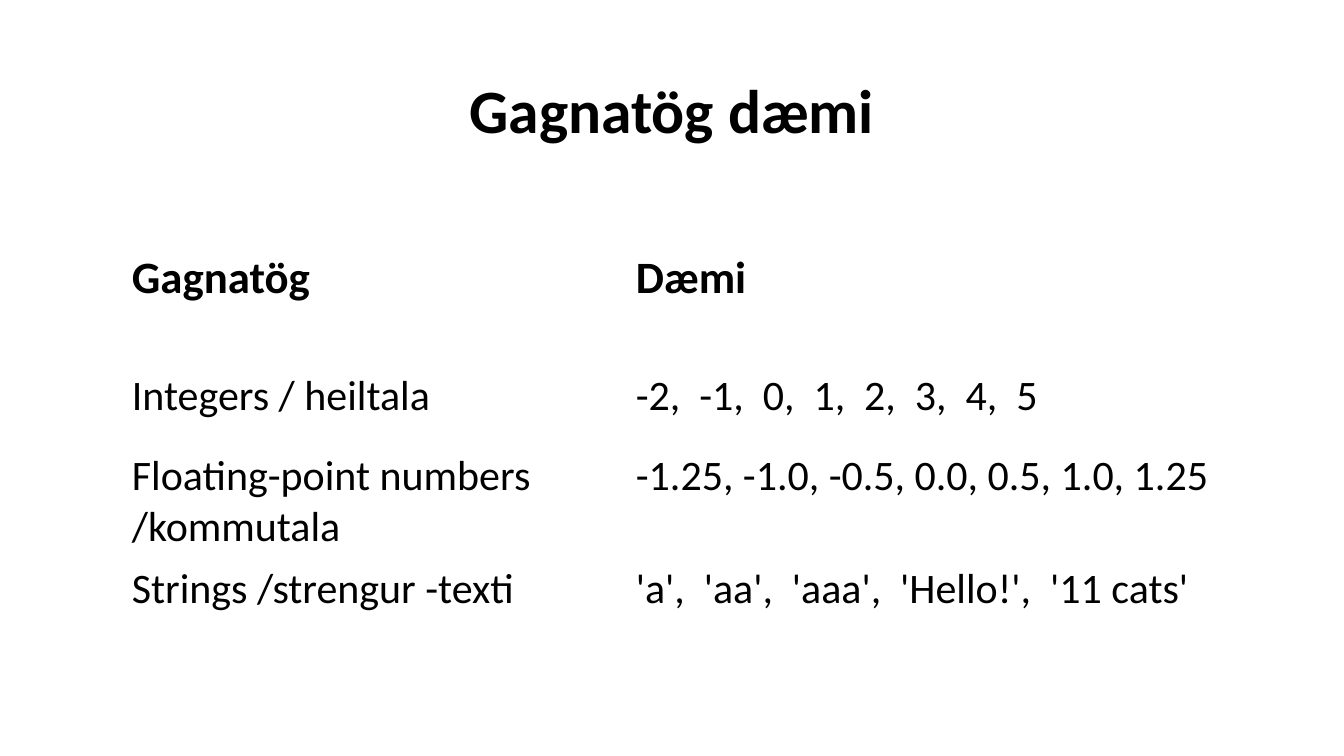
from dataclasses import dataclass
from typing import Any

from pptx import Presentation
from pptx.dml.color import RGBColor
from pptx.enum.text import MSO_ANCHOR, MSO_AUTO_SIZE, PP_ALIGN
from pptx.util import Cm, Length, Pt

MIDDLE = MSO_ANCHOR.MIDDLE
TOP = MSO_ANCHOR.TOP
NO_AUTOFIT = MSO_AUTO_SIZE.NONE
CENTER = PP_ALIGN.CENTER
LEFT = PP_ALIGN.LEFT
TITLE_ONLY = 5


@dataclass(frozen=True)
class Theme:
    font: str = "Calibri"
    ink: RGBColor = RGBColor(0x00, 0x00, 0x00)
    paper: RGBColor = RGBColor(0xFF, 0xFF, 0xFF)
    title: Length = Pt(44)
    heading: Length = Pt(32)
    body: Length = Pt(30)


@dataclass(frozen=True)
class TypeRow:
    kind: str
    examples: str
    height: Length
    is_heading: bool = False


THEME = Theme()
COLUMN_WIDTHS = (Cm(12.7), Cm(16.79))
TYPE_ROWS = (
    TypeRow("Gagnatög", "Dæmi", Cm(3), True),
    TypeRow("Integers / heiltala",
            ", \u00a0".join(str(number) for number in range(-2, 6)), Cm(2.03)),
    TypeRow("Floating-point numbers\n/kommutala",
            "-1.25,\u00a0-1.0, -0.5,\u00a00.0,\u00a00.5,\u00a01.0,\u00a01.25", Cm(2.84)),
    TypeRow("Strings /strengur -texti",
            ",\u00a0 ".join(("'a'", "'aa'", "'aaa'", "'Hello!'", "'11 cats'")), Cm(1.85)),
)


def apply(target: Any, values: dict[str, Any]) -> None:
    for name, value in values.items():
        setattr(target, name, value)


def write(frame: Any, words: str, size: Length, bold: bool,
          paragraph_format: dict[str, Any]) -> None:
    frame.text = words
    for paragraph in frame.paragraphs:
        apply(paragraph, paragraph_format)
        for run in paragraph.runs:
            apply(run.font, {"name": THEME.font, "size": size, "bold": bold})
            run.font.color.rgb = THEME.ink


def draw_heading(slide: Any, words: str) -> None:
    heading = slide.shapes.title
    apply(heading, {"left": Cm(2.33), "top": Cm(1.01),
                    "width": Cm(29.21), "height": Cm(3.68)})
    apply(heading.text_frame, {"word_wrap": True, "auto_size": NO_AUTOFIT,
                               "vertical_anchor": MIDDLE})
    write(heading.text_frame, words, THEME.title, True,
          {"alignment": CENTER, "line_spacing": 0.9})


def draw_types(slide: Any, rows: tuple[TypeRow, ...]) -> None:
    types = slide.shapes.add_table(
        len(rows), len(COLUMN_WIDTHS), Cm(3.07), Cm(6.2),
        sum(COLUMN_WIDTHS), sum(row.height for row in rows)).table
    apply(types, {"first_row": False, "horz_banding": False})
    for column, width in zip(types.columns, COLUMN_WIDTHS):
        column.width = width
    for line, row in zip(types.rows, rows):
        line.height = row.height
        size = THEME.heading if row.is_heading else THEME.body
        for cell, words in zip(line.cells, (row.kind, row.examples)):
            cell.fill.background()
            cell.vertical_anchor = TOP
            write(cell.text_frame, words, size, row.is_heading, {"alignment": LEFT})


deck = Presentation()
apply(deck, {"slide_width": Cm(33.87), "slide_height": Cm(19.05)})
data_types = deck.slides.add_slide(deck.slide_layouts[TITLE_ONLY])
data_types.background.fill.solid()
data_types.background.fill.fore_color.rgb = THEME.paper
draw_heading(data_types, "Gagnatög dæmi")
draw_types(data_types, TYPE_ROWS)
deck.save("out.pptx")
